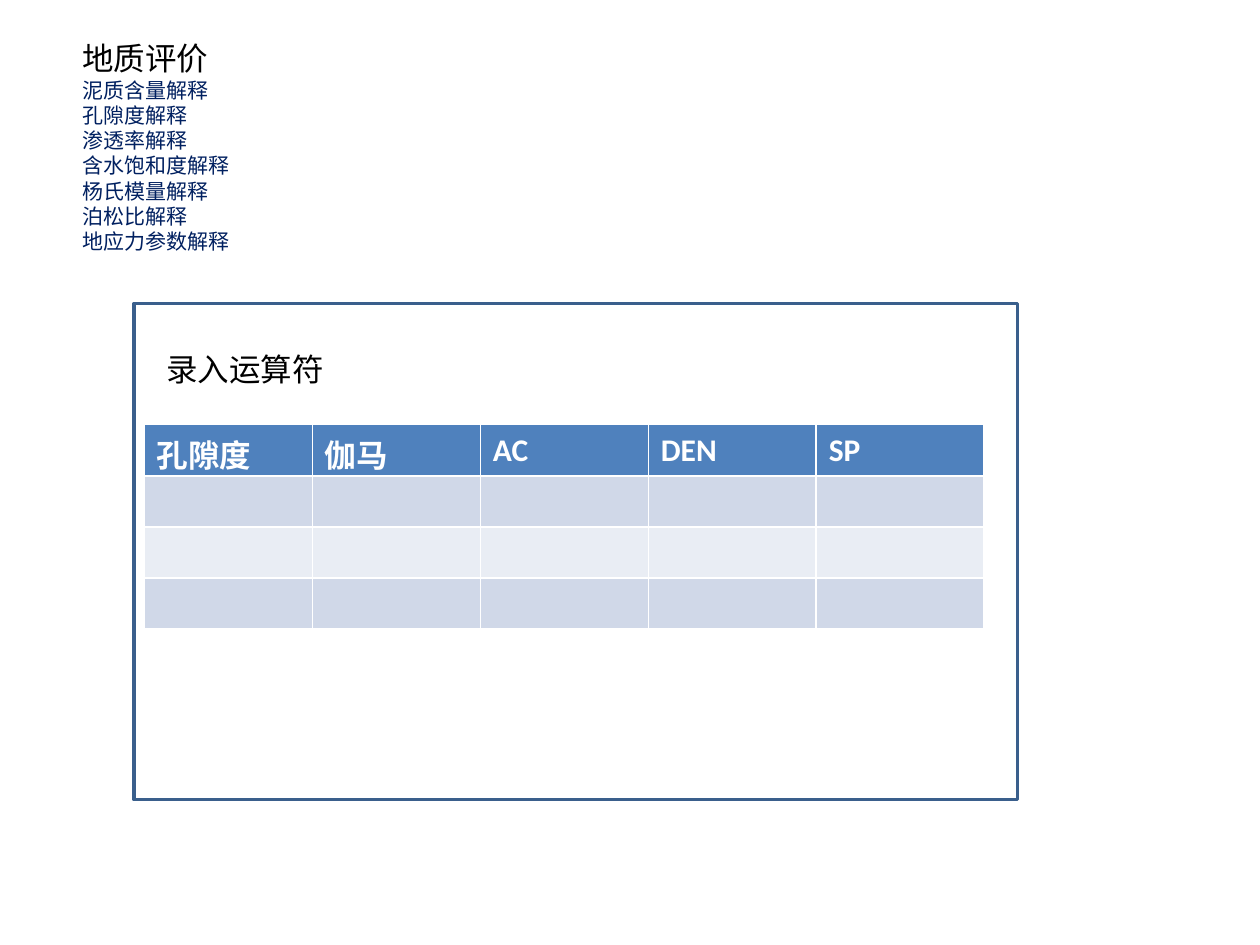
import pptx
import pptx.dml.color
import pptx.enum.shapes
import pptx.enum.text
import pptx.util

Pt = pptx.util.Pt
COLORS = {
    "black": "000000",
    "white": "FFFFFF",
    "navy": "002060",
    "frame": "3A5F8C",
    "header": "4F81BD",
    "band_dark": "D0D8E8",
    "band_light": "E9EDF4",
}


def rgb(name):
    return pptx.dml.color.RGBColor.from_string(COLORS[name])


def write(p, text, size, color, bold=False):
    """Set the paragraph's text and format its run."""
    p.text = text
    font = p.runs[0].font
    font.name = "Calibri"
    font.size = Pt(size)
    font.bold = bold
    font.color.rgb = rgb(color)


prs = pptx.Presentation()
prs.slide_width = Pt(720)
prs.slide_height = Pt(540)
s = prs.slides.add_slide(prs.slide_layouts[6])

# Heading with its list of interpretations
topics = ["泥质含量解释", "孔隙度解释", "渗透率解释", "含水饱和度解释",
          "杨氏模量解释", "泊松比解释", "地应力参数解释"]
tf = s.shapes.add_textbox(Pt(40), Pt(19), Pt(102), Pt(131)).text_frame
tf.word_wrap = True
write(tf.paragraphs[0], "地质评价", 18, "black")
for topic in topics:
    write(tf.add_paragraph(), topic, 12, "navy")

# Frame around the input area
frame = s.shapes.add_shape(pptx.enum.shapes.MSO_SHAPE.RECTANGLE,
                           Pt(76.5), Pt(173.5), Pt(505), Pt(283.5))
frame.shadow.inherit = False
frame.fill.background()
frame.line.color.rgb = rgb("frame")
frame.line.width = Pt(2)

# Table of log curves; the default table style draws the white borders
headers = ["孔隙度", "伽马", "AC", "DEN", "SP"]
row_fills = ["header", "band_dark", "band_light", "band_dark"]
table = s.shapes.add_table(len(row_fills), len(headers), Pt(82.5), Pt(242.7),
                           Pt(480), Pt(116.8)).table
for column in table.columns:
    column.width = Pt(96)
for row, fill in zip(table.rows, row_fills):
    row.height = Pt(29.2)
    for cell in row.cells:
        cell.fill.solid()
        cell.fill.fore_color.rgb = rgb(fill)
for cell, header in zip(table.rows[0].cells, headers):
    write(cell.text_frame.paragraphs[0], header, 18, "white", bold=True)

# Caption above the table
tf = s.shapes.add_textbox(Pt(88), Pt(196.5), Pt(176), Pt(29)).text_frame
tf.word_wrap = True
write(tf.paragraphs[0], "录入运算符", 18, "black")

prs.save("out.pptx")
